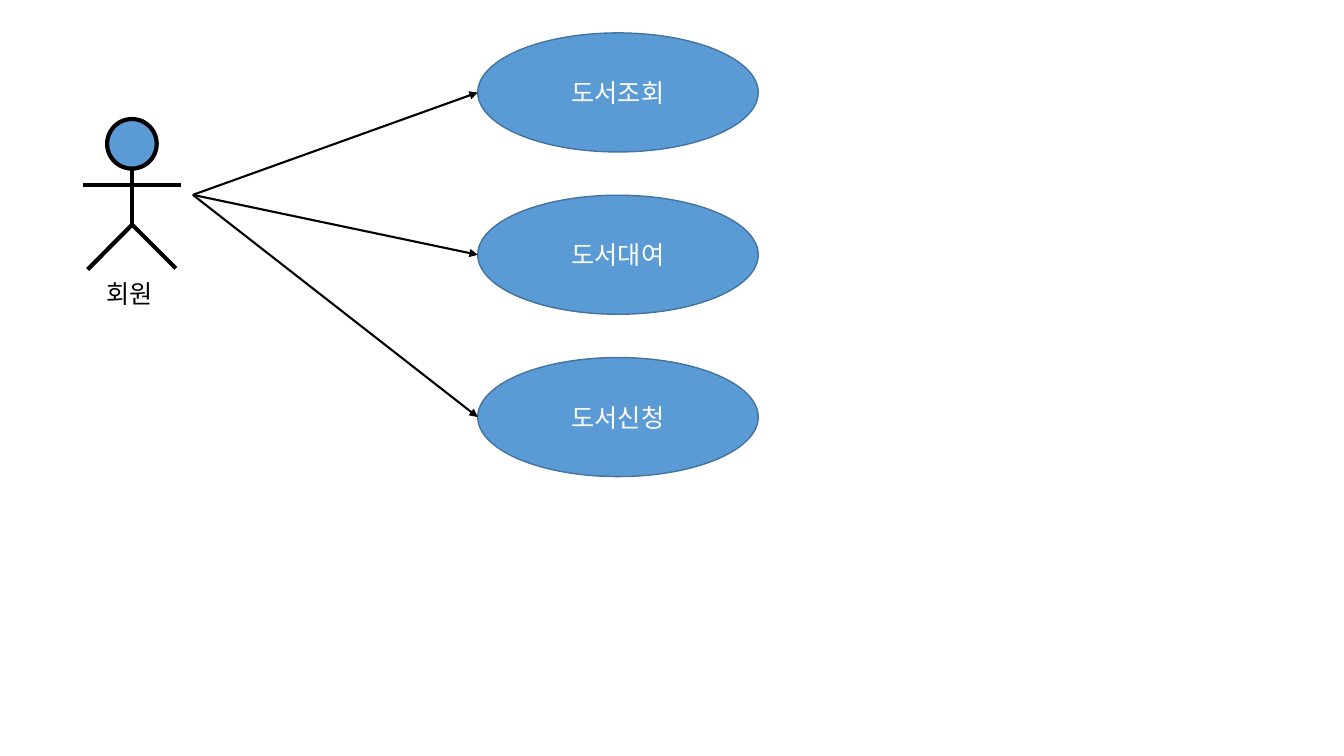
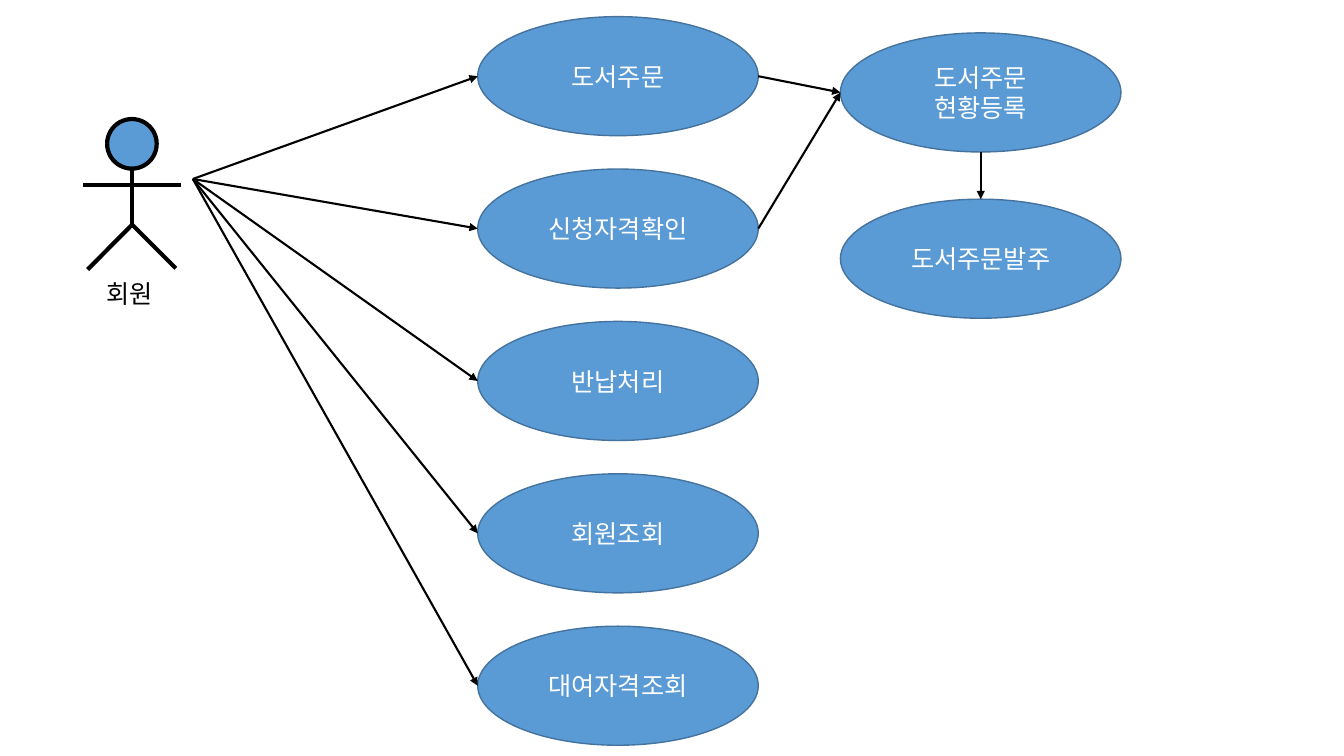
"""Build two use case diagrams of a library: member services and order handling."""
import pptx
import pptx.dml.color
import pptx.enum.shapes
import pptx.enum.text
import pptx.oxml
import pptx.oxml.ns
import pptx.util
from lxml import etree

Cm = pptx.util.Cm
Pt = pptx.util.Pt
RGB = pptx.dml.color.RGBColor.from_string
OVAL = pptx.enum.shapes.MSO_SHAPE.OVAL
STRAIGHT = pptx.enum.shapes.MSO_CONNECTOR.STRAIGHT
ALIGN = pptx.enum.text.PP_ALIGN
qn = pptx.oxml.ns.qn

FONT = "Noto Sans CJK KR"
COLORS = {"fill": "5B9BD5", "edge": "43739E", "ink": "000000", "white": "FFFFFF"}
CASE_W, CASE_H = 7.07, 3.0
CASE_X, ORDER_X = 12.04, 21.18
HUB_X = 4.86
HEAD = (2.7, 3.0, 1.25)
LIMBS = [
    (3.32, 4.26, 3.32, 5.73),
    (2.1, 4.66, 4.55, 4.66),
    (3.31, 5.68, 2.21, 6.79),
    (3.34, 5.67, 4.43, 6.76),
]


def write(sp, text, color="ink", size=18, align=ALIGN.LEFT, wrap=True):
    tf = sp.text_frame
    tf.word_wrap = wrap
    for i, line in enumerate(text.split("\n")):
        p = tf.paragraphs[0] if i == 0 else tf.add_paragraph()
        p.alignment = align
        r = p.add_run()
        r.text = line
        r.font.name = FONT
        r.font.size = Pt(size)
        r.font.color.rgb = RGB(COLORS[color])
        etree.SubElement(r.font._element, qn("a:ea"), typeface=FONT)


def connect(shapes, x1, y1, x2, y2, width=1.5, arrow=True):
    line = shapes.add_connector(STRAIGHT, Cm(x1), Cm(y1), Cm(x2), Cm(y2))
    line.line.color.rgb = RGB(COLORS["ink"])
    line.line.width = Pt(width)
    if arrow:
        etree.SubElement(line.line._get_or_add_ln(), qn("a:tailEnd"), type="triangle")
    etree.SubElement(line._element.spPr, qn("a:effectLst"))


diagrams = [
    {
        "hub_y": 4.91, "top": 0.83, "pitch": 4.09,
        "cases": ["도서조회", "도서대여", "도서신청"],
        "orders": [],
    },
    {
        "hub_y": 4.51, "top": 0.42, "pitch": 3.84 - 0.03 + 0.03,
        "cases": ["도서주문", "신청자격확인", "반납처리", "회원조회", "대여자격조회"],
        "orders": [("도서주문\n현황등록", 0.83), ("도서주문발주", 5.02)],
    },
]

prs = pptx.Presentation()
prs.slide_width, prs.slide_height = Cm(33.87), Cm(19.05)

for diagram in diagrams:
    s = prs.slides.add_slide(prs.slide_layouts[6])

    case_tops = [diagram["top"] + i * diagram["pitch"] for i in range(len(diagram["cases"]))]
    ovals = [(text, CASE_X, top) for text, top in zip(diagram["cases"], case_tops)]
    ovals += [(text, ORDER_X, top) for text, top in diagram["orders"]]
    for text, x, y in ovals:
        sp = s.shapes.add_shape(OVAL, Cm(x), Cm(y), Cm(CASE_W), Cm(CASE_H))
        sp.shadow.inherit = False
        sp.fill.solid()
        sp.fill.fore_color.rgb = RGB(COLORS["fill"])
        sp.line.color.rgb = RGB(COLORS["edge"])
        sp.line.width = Pt(1)
        sp.text_frame.vertical_anchor = pptx.enum.text.MSO_ANCHOR.MIDDLE
        write(sp, text, color="white", align=ALIGN.CENTER)

    label = s.shapes.add_textbox(Cm(2.43), Cm(6.9), Cm(1.81), Cm(1.03))
    write(label, "회원", wrap=False)

    for top in case_tops:
        connect(s.shapes, HUB_X, diagram["hub_y"], CASE_X, top + CASE_H / 2)

    if diagram["orders"]:
        register_top, place_top = [top for text, top in diagram["orders"]]
        for top in case_tops[:2]:
            connect(s.shapes, CASE_X + CASE_W, top + CASE_H / 2, ORDER_X, register_top + CASE_H / 2)
        middle = ORDER_X + CASE_W / 2
        connect(s.shapes, middle, register_top + CASE_H, middle, place_top)

    actor = s.shapes.add_group_shape()
    x, y, size = HEAD
    head = actor.shapes.add_shape(OVAL, Cm(x), Cm(y), Cm(size), Cm(size))
    head.shadow.inherit = False
    head.fill.solid()
    head.fill.fore_color.rgb = RGB(COLORS["fill"])
    head.line.color.rgb = RGB(COLORS["ink"])
    head.line.width = Pt(3)
    for limb in LIMBS:
        connect(actor.shapes, *limb, width=3, arrow=False)

prs.save("out.pptx")
